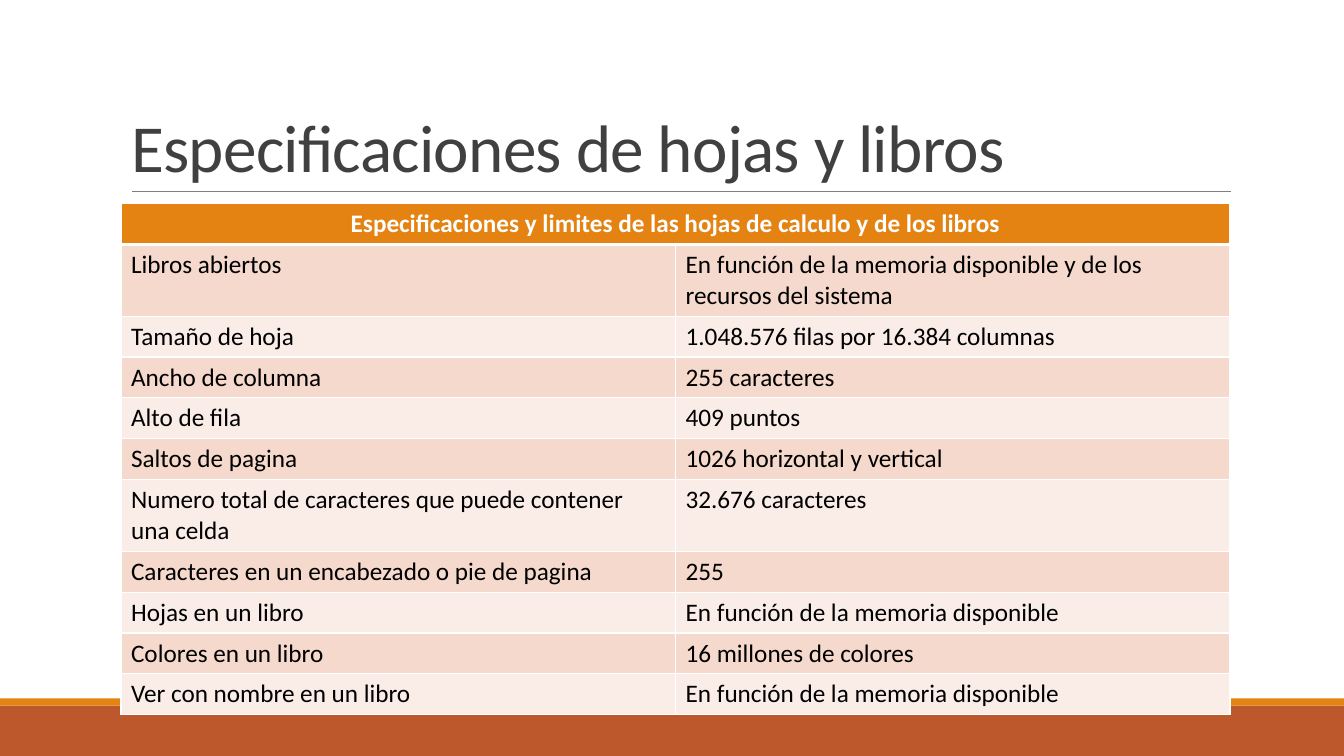
from dataclasses import dataclass

from lxml import etree
from pptx import Presentation
from pptx.dml.color import RGBColor
from pptx.enum.shapes import MSO_CONNECTOR, MSO_SHAPE
from pptx.enum.text import MSO_ANCHOR, MSO_AUTO_SIZE, PP_ALIGN
from pptx.oxml.ns import qn
from pptx.util import Inches, Pt

TITLE = "Especificaciones de hojas y libros"
TABLE_HEADING = "Especificaciones y limites de las hojas de calculo y de los libros"
LIMITS = [
    ("Libros abiertos", "En función de la memoria disponible y de los recursos del sistema"),
    ("Tamaño de hoja", "1.048.576 filas por 16.384 columnas"),
    ("Ancho de columna", "255 caracteres"),
    ("Alto de fila", "409 puntos"),
    ("Saltos de pagina", "1026 horizontal y vertical"),
    ("Numero total de caracteres que puede contener una celda", "32.676 caracteres"),
    ("Caracteres en un encabezado o pie de pagina", "255"),
    ("Hojas en un libro", "En función de la memoria disponible"),
    ("Colores en un libro", "16 millones de colores"),
    ("Ver con nombre en un libro", "En función de la memoria disponible"),
]


@dataclass(frozen=True)
class Theme:
    font: str = "Calibri"
    title_size: float = 48
    table_size: float = 18
    title: str = "404040"
    text: str = "000000"
    white: str = "FFFFFF"
    accent: str = "E48312"
    footer: str = "BD582C"
    rule: str = "808080"
    bands: tuple = ("F5D9CC", "FAEDE7")


THEME = Theme()
SLIDE_W, SLIDE_H = 13.33, 7.5
LEFT, CONTENT_W = 1.2, 11
TABLE_TOP, ROW_H = 2.02, 0.4
FOOTER_TOP, STRIPE_H = 7, 0.07
RECTANGLE = MSO_SHAPE.RECTANGLE
STRAIGHT = MSO_CONNECTOR.STRAIGHT
BOTTOM = MSO_ANCHOR.BOTTOM
NO_AUTOFIT = MSO_AUTO_SIZE.NONE
ALIGN_LEFT, ALIGN_CENTER = PP_ALIGN.LEFT, PP_ALIGN.CENTER


def rgb(color):
    return RGBColor.from_string(color)


def write(paragraph, text, size, color, bold=False, align=ALIGN_LEFT):
    paragraph.alignment = align
    run = paragraph.add_run()
    run.text = text
    run.font.name = THEME.font
    run.font.size = Pt(size)
    run.font.bold = bold
    run.font.color.rgb = rgb(color)
    return run


def add_band(slide, top, height, color):
    band = slide.shapes.add_shape(
        RECTANGLE, 0, Inches(top), Inches(SLIDE_W), Inches(height))
    band.shadow.inherit = False
    band.fill.solid()
    band.fill.fore_color.rgb = rgb(color)
    band.line.fill.background()


def add_rule(slide):
    rule = slide.shapes.add_connector(
        STRAIGHT, Inches(1.31), Inches(1.9), Inches(12.21), Inches(1.9))
    rule.line.color.rgb = rgb(THEME.rule)
    rule.line.width = Pt(0.5)
    etree.SubElement(rule._element.spPr, qn("a:effectLst"))


def add_title(slide):
    title = slide.shapes.title
    title.left, title.top = Inches(LEFT), Inches(0.31)
    title.width, title.height = Inches(CONTENT_W), Inches(1.59)
    frame = title.text_frame
    frame.auto_size = NO_AUTOFIT
    frame.vertical_anchor = BOTTOM
    paragraph = frame.paragraphs[0]
    paragraph.line_spacing = 0.85
    run = write(paragraph, TITLE, THEME.title_size, THEME.title)
    run.font._element.set("spc", "-50")


def set_borders(cell, bottom=1):
    """Draw white borders, in points, around a cell that has no fill yet."""
    properties = cell._tc.get_or_add_tcPr()
    for side, width in (("L", 1), ("R", 1), ("T", 1), ("B", bottom)):
        border = etree.SubElement(properties, qn(f"a:ln{side}"), w=str(Pt(width)))
        fill = etree.SubElement(border, qn("a:solidFill"))
        etree.SubElement(fill, qn("a:srgbClr"), val=THEME.white)


def fill_cell(cell, color):
    cell.fill.solid()
    cell.fill.fore_color.rgb = rgb(color)


def add_limits_table(slide):
    row_count = len(LIMITS) + 1
    table = slide.shapes.add_table(
        row_count, 2, Inches(LEFT), Inches(TABLE_TOP),
        Inches(CONTENT_W), Inches(ROW_H * row_count)).table
    heading = table.cell(0, 0)
    heading.merge(table.cell(0, 1))
    for cell in table.rows[0].cells:
        set_borders(cell, bottom=3)
        fill_cell(cell, THEME.accent)
    write(heading.text_frame.paragraphs[0], TABLE_HEADING, THEME.table_size,
          THEME.white, bold=True, align=ALIGN_CENTER)
    for row, limit in enumerate(LIMITS, start=1):
        for column, text in enumerate(limit):
            cell = table.cell(row, column)
            set_borders(cell)
            fill_cell(cell, THEME.bands[(row - 1) % 2])
            write(cell.text_frame.paragraphs[0], text, THEME.table_size, THEME.text)


def main():
    deck = Presentation()
    deck.slide_width, deck.slide_height = Inches(SLIDE_W), Inches(SLIDE_H)
    title_only = deck.slide_layouts[5]
    slide = deck.slides.add_slide(title_only)
    slide.background.fill.solid()
    slide.background.fill.fore_color.rgb = rgb(THEME.white)
    add_band(slide, FOOTER_TOP, SLIDE_H - FOOTER_TOP, THEME.footer)
    add_band(slide, FOOTER_TOP - STRIPE_H, STRIPE_H, THEME.accent)
    add_rule(slide)
    add_title(slide)
    add_limits_table(slide)
    deck.save("out.pptx")


if __name__ == "__main__":
    main()
